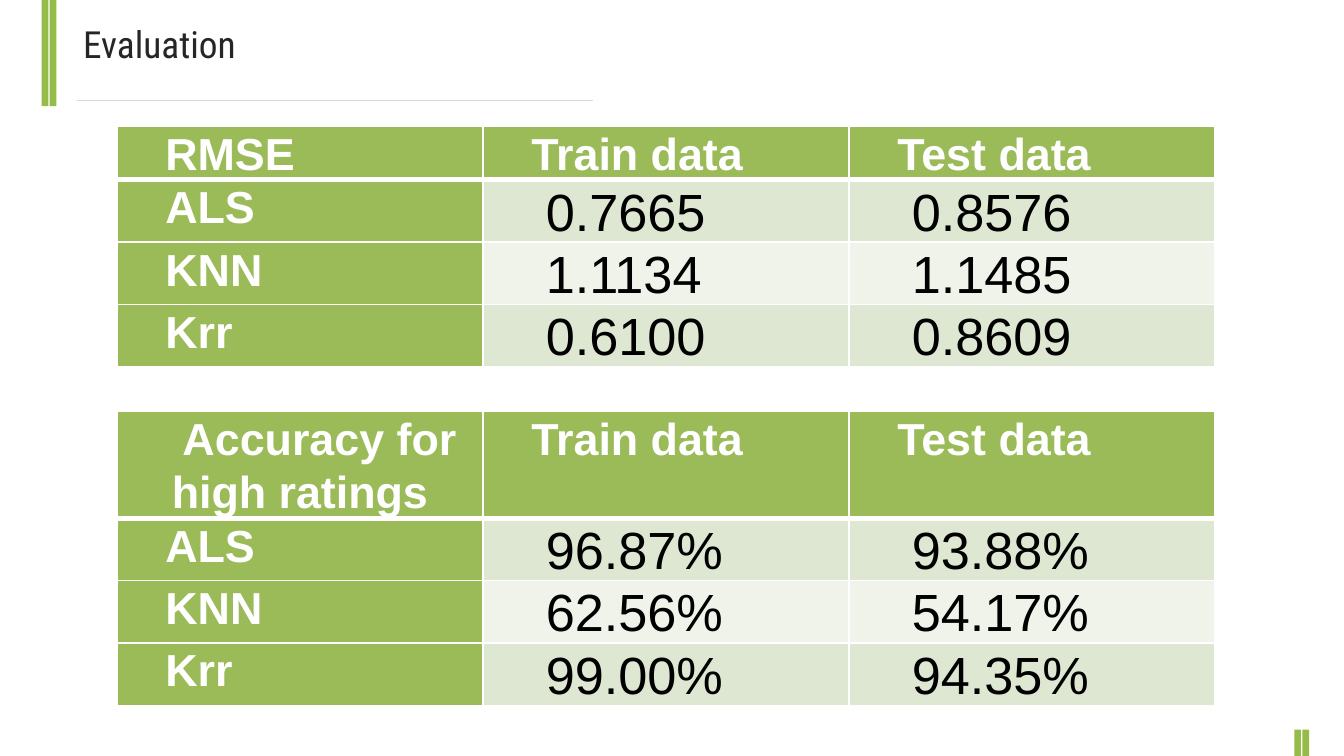
from lxml import etree
from pptx import Presentation
from pptx.dml.color import RGBColor
from pptx.enum.shapes import MSO_CONNECTOR, MSO_SHAPE
from pptx.enum.text import MSO_ANCHOR, MSO_AUTO_SIZE, PP_ALIGN
from pptx.oxml.ns import qn
from pptx.util import Inches, Pt

RECTANGLE = MSO_SHAPE.RECTANGLE
STRAIGHT = MSO_CONNECTOR.STRAIGHT
LEFT, CENTER = PP_ALIGN.LEFT, PP_ALIGN.CENTER
TOP, MIDDLE = MSO_ANCHOR.TOP, MSO_ANCHOR.MIDDLE
FIT_SHAPE = MSO_AUTO_SIZE.SHAPE_TO_FIT_TEXT

COLORS = {
    "accent": "95BC49",
    "header": "9BBB59",
    "band_dark": "DEE7D1",
    "band_light": "EFF3EA",
    "rule": "D9D9D9",
    "title": "262626",
    "white": "FFFFFF",
    "black": "000000",
}

SLIDE_WIDTH = 10
SLIDE_HEIGHT = SLIDE_WIDTH * 9 / 16
BAR_WIDTH, BAR_STEP = 0.05, 0.06
TABLE_LEFT, TABLE_WIDTH, ROW_HEIGHT = 0.87, 8.17, 0.38
FIRST_LINE_INDENT = 0.29

RMSE_ROWS = [
    ["RMSE", "Train data", "Test data"],
    ["ALS", " 0.7665", " 0.8576"],
    ["KNN", " 1.1134", " 1.1485"],
    ["Krr", " 0.6100", " 0.8609"],
]
ACCURACY_ROWS = [
    ["Accuracy for high ratings", "Train data", "Test data"],
    ["ALS", " 96.87%", " 93.88%"],
    ["KNN", " 62.56%", " 54.17%"],
    ["Krr", " 99.00%", " 94.35%"],
]


def color(name):
    return RGBColor.from_string(COLORS[name])


def write_text(frame, text, *, size, fill, font="Arial", bold=False,
               align=LEFT, spacing=None, indent=0):
    paragraph = frame.paragraphs[0]
    paragraph.alignment = align
    if spacing:
        paragraph.line_spacing = spacing
    if indent:
        properties = paragraph._p.get_or_add_pPr()
        properties.set("marL", "0")
        properties.set("indent", str(Inches(indent)))
    run = paragraph.add_run()
    run.text = text
    run.font.name = font
    run.font.size = Pt(size)
    run.font.bold = bold
    run.font.color.rgb = color(fill)


def add_bar_pair(slide, left, top, height):
    for index in range(2):
        bar = slide.shapes.add_shape(
            RECTANGLE, Inches(left + index * BAR_STEP), Inches(top),
            Inches(BAR_WIDTH), Inches(height))
        bar.shadow.inherit = False
        bar.fill.solid()
        bar.fill.fore_color.rgb = color("accent")
        bar.line.fill.background()


def add_rule(slide, left, right, y):
    rule = slide.shapes.add_connector(
        STRAIGHT, Inches(left), Inches(y), Inches(right), Inches(y))
    rule.line.color.rgb = color("rule")
    rule.line.width = Pt(0.75)
    etree.SubElement(rule._element.spPr, qn("a:effectLst"))


def add_title(slide, text):
    box = slide.shapes.add_textbox(
        Inches(0.52), Inches(0.11), Inches(4.23), Inches(0.44))
    box.text_frame.word_wrap = True
    box.text_frame.auto_size = FIT_SHAPE
    write_text(box.text_frame, text, size=20, fill="title",
               font="Roboto Condensed")


def set_borders(cell, top, bottom):
    """Draw white borders; the side borders are always 1 point wide."""
    properties = cell._tc.get_or_add_tcPr()
    widths = {"a:lnL": 1, "a:lnR": 1, "a:lnT": top, "a:lnB": bottom}
    for position, (tag, width) in enumerate(widths.items()):
        border = etree.Element(qn(tag), w=str(Pt(width)))
        fill = etree.SubElement(border, qn("a:solidFill"))
        etree.SubElement(fill, qn("a:srgbClr"), val=COLORS["white"])
        properties.insert(position, border)


def format_cell(cell, text, row, column):
    is_heading = row == 0 or column == 0
    band = "band_dark" if row % 2 else "band_light"
    cell.fill.solid()
    cell.fill.fore_color.rgb = color("header" if is_heading else band)
    cell.margin_left = cell.margin_right = Inches(0.07)
    cell.margin_top = cell.margin_bottom = 0
    cell.vertical_anchor = TOP if is_heading else MIDDLE
    write_text(cell.text_frame, text,
               size=24 if is_heading else 28,
               fill="white" if is_heading else "black",
               bold=is_heading,
               align=CENTER if row == column == 0 and " " in text else LEFT,
               spacing=1.07, indent=FIRST_LINE_INDENT)
    set_borders(cell, top=3 if row == 1 else 1, bottom=3 if row == 0 else 1)


def add_score_table(slide, rows, top, height):
    """Add a table whose rows grow from ROW_HEIGHT to fit their text."""
    frame = slide.shapes.add_table(
        len(rows), len(rows[0]), Inches(TABLE_LEFT), Inches(top),
        Inches(TABLE_WIDTH), Inches(height))
    table = frame.table
    table.first_col = True
    for row, texts in enumerate(rows):
        table.rows[row].height = Inches(ROW_HEIGHT)
        for column, text in enumerate(texts):
            format_cell(table.cell(row, column), text, row, column)
    frame.height = Inches(height)


def main():
    presentation = Presentation()
    presentation.slide_width = Inches(SLIDE_WIDTH)
    presentation.slide_height = Inches(SLIDE_HEIGHT)
    slide = presentation.slides.add_slide(presentation.slide_layouts[6])

    add_bar_pair(slide, left=0.31, top=0, height=0.79)
    add_bar_pair(slide, left=9.63, top=5.43, height=0.2)
    add_rule(slide, left=0.57, right=4.41, y=0.75)
    add_score_table(slide, RMSE_ROWS, top=0.94, height=1.93)
    add_score_table(slide, ACCURACY_ROWS, top=3.06, height=2.35)
    add_title(slide, "Evaluation")

    presentation.save("out.pptx")


if __name__ == "__main__":
    main()
